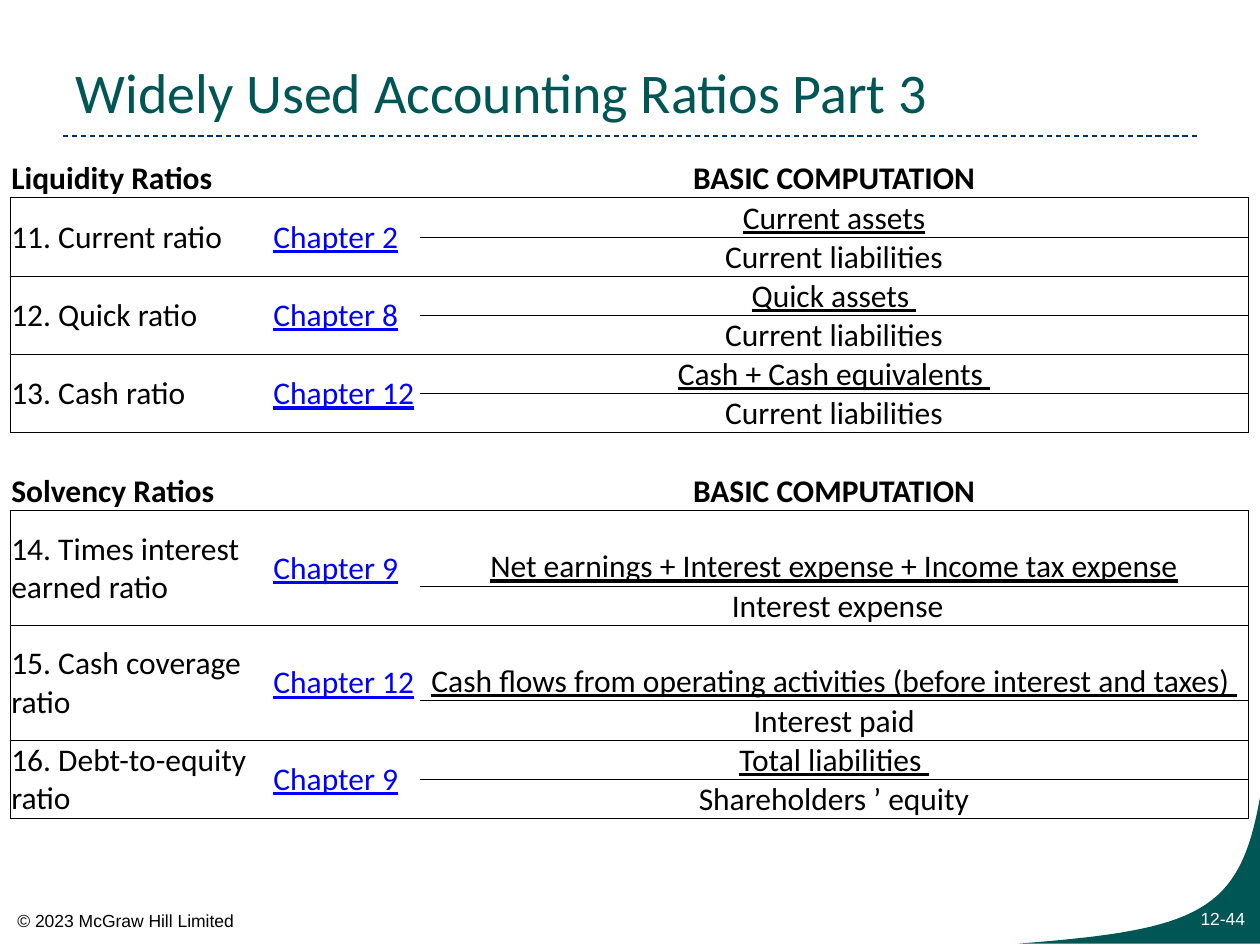
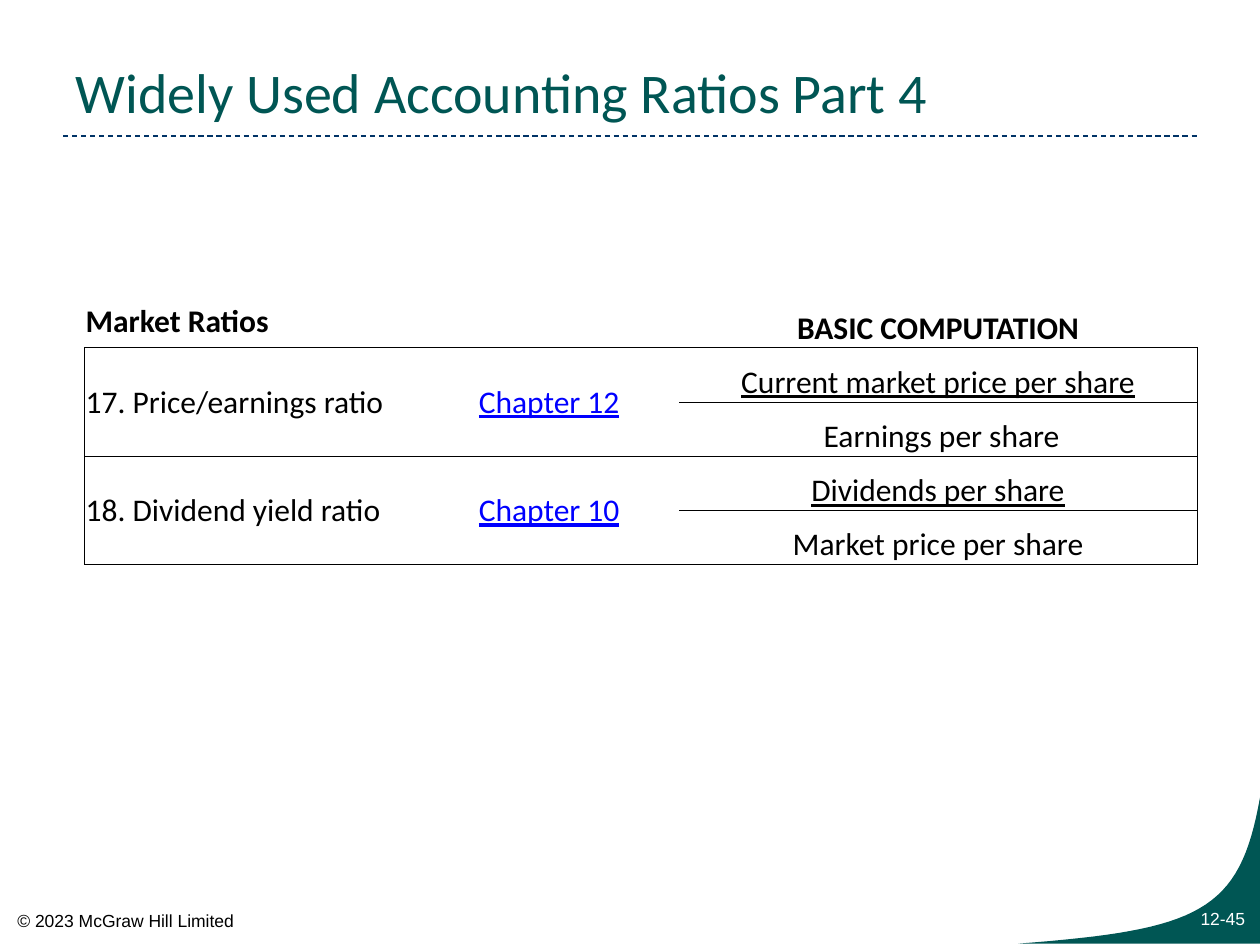
"""Build two slides of accounting ratio tables."""
from dataclasses import dataclass

from lxml import etree
from pptx import Presentation
from pptx import util as u
from pptx.dml.color import RGBColor
from pptx.enum import dml, shapes, text
from pptx.oxml.ns import qn


@dataclass(frozen=True)
class Theme:
    """Shared colours, fonts and type sizes."""
    teal: str = "005654"
    navy: str = "003366"
    link: str = "0000FF"
    black: str = "000000"
    white: str = "FFFFFF"
    font: str = "Calibri"
    footer_font: str = "Arial"
    title_size: int = 32
    table_size: int = 18
    footer_size: int = 10
    border_width: float = 0.5


@dataclass(frozen=True)
class Ratio:
    """One ratio, spanning a numerator row and a denominator row."""
    name: str
    chapter: str
    numerator: str
    denominator: str
    top_height: float | None = None


@dataclass(frozen=True)
class Group:
    """A headed group of ratios."""
    heading: str
    ratios: list[Ratio]


@dataclass(frozen=True)
class RatioSlide:
    """Content and table geometry of one slide."""
    title: str
    number: str
    left: float
    top: float
    columns: tuple[float, float, float]
    row_height: float
    groups: list[Group]


T = Theme()
MIDDLE, BOTTOM = text.MSO_ANCHOR.MIDDLE, text.MSO_ANCHOR.BOTTOM
LEFT, CENTER, RIGHT = text.PP_ALIGN.LEFT, text.PP_ALIGN.CENTER, text.PP_ALIGN.RIGHT
NO_GRID_STYLE = "{2D5ABB26-0587-4C30-8999-92F81FD0307C}"
CURVE = ((8.08, 7.49), (9.52, 7.38), (9.84, 7.24), (10, 6.33))
CURVE_STEPS = 32

SLIDES = [
    RatioSlide("Widely Used Accounting Ratios Part 3", "12-44", 0.08, 1.26, (2.08, 1.17, 6.58), 0.31, [
        Group("Liquidity Ratios", [
            Ratio("11. Current ratio", "Chapter 2", "Current assets", "Current liabilities"),
            Ratio("12. Quick ratio", "Chapter 8", "Quick assets ", "Current liabilities"),
            Ratio("13. Cash ratio", "Chapter 12", "Cash + Cash equivalents ", "Current liabilities"),
        ]),
        Group("Solvency Ratios", [
            Ratio("14. Times interest earned ratio", "Chapter 9",
                  "Net earnings + Interest expense + Income tax expense", " Interest expense", 0.6),
            Ratio("15. Cash coverage ratio", "Chapter 12",
                  "Cash flows from operating activities (before interest and taxes) ", "Interest paid", 0.6),
            Ratio("16. Debt-to-equity ratio", "Chapter 9", "Total liabilities ", "Shareholders ’ equity"),
        ]),
    ]),
    RatioSlide("Widely Used Accounting Ratios Part 4", "12-45", 0.67, 2.33, (3.12, 1.6, 4.11), 0.43, [
        Group("Market Ratios", [
            Ratio("17. Price/earnings ratio", "Chapter 12", "Current market price per share", " Earnings per share"),
            Ratio("18. Dividend yield ratio", "Chapter 10", "Dividends per share", "Market price per share"),
        ]),
    ]),
]


def set_text(tf, value: str, size: int, color: str, font: str, align=LEFT,
             bold: bool = False, underline: bool = False) -> None:
    """Write one paragraph and format it."""
    tf.text = value
    p = tf.paragraphs[0]
    p.alignment = align
    for f in [p.font, *(r.font for r in p.runs)]:
        f.name, f.size, f.bold, f.underline = font, u.Pt(size), bold, underline
        f.color.rgb = RGBColor.from_string(color)


def add_title(s, title: str) -> None:
    """Fill and place the title placeholder."""
    sp = s.shapes.title
    sp.left, sp.top, sp.width, sp.height = map(u.Inches, (0.5, 0.17, 9, 0.87))
    tf = sp.text_frame
    tf.vertical_anchor = BOTTOM
    tf.auto_size = text.MSO_AUTO_SIZE.NONE
    set_text(tf, title, T.title_size, T.teal, T.font)


def add_rule(s) -> None:
    """Draw the dashed line under the title."""
    line = s.shapes.add_connector(shapes.MSO_CONNECTOR.STRAIGHT, *map(u.Inches, (0.5, 1.08, 9.5, 1.08)))
    line.line.color.rgb = RGBColor.from_string(T.navy)
    line.line.width = u.Pt(0.75)
    line.line.dash_style = dml.MSO_LINE.DASH
    etree.SubElement(line._element.spPr, qn("a:effectLst"))


def curve_point(t: float) -> tuple[int, int]:
    """Return the point of the corner's cubic curve at t."""
    weights = ((1 - t) ** 3, 3 * t * (1 - t) ** 2, 3 * t * t * (1 - t), t ** 3)
    x, y = (sum(w * pt[axis] for w, pt in zip(weights, CURVE)) for axis in (0, 1))
    return u.Inches(x), u.Inches(y)


def add_corner(s) -> None:
    """Draw the curved corner behind the slide number."""
    builder = s.shapes.build_freeform(u.Inches(10), u.Inches(7.49))
    builder.add_line_segments([curve_point(i / CURVE_STEPS) for i in range(CURVE_STEPS + 1)])
    sp = builder.convert_to_shape()
    sp.shadow.inherit = False
    sp.fill.solid()
    sp.fill.fore_color.rgb = RGBColor.from_string(T.teal)
    sp.line.fill.background()


def add_footer_text(s, value: str, box: tuple[float, ...], color: str, align, wrap: bool) -> None:
    """Add one small footer text."""
    tf = s.shapes.add_textbox(*map(u.Inches, box)).text_frame
    tf.word_wrap = wrap
    set_text(tf, value, T.footer_size, color, T.footer_font, align)


def set_cell(cell, value: str = "", anchor=MIDDLE, align=LEFT, borders: str = "", color: str = T.black,
             bold: bool = False, underline: bool = False) -> None:
    """Format a cell and draw the named borders from L, R, T and B."""
    cell.margin_left = cell.margin_top = cell.margin_right = u.Inches(0.01)
    cell.margin_bottom = 0
    cell.vertical_anchor = anchor
    set_text(cell.text_frame, value, T.table_size, color, T.font, align, bold, underline)
    tc_pr = cell._tc.get_or_add_tcPr()
    for side in borders:
        ln = etree.SubElement(tc_pr, qn(f"a:ln{side}"), w=str(u.Pt(T.border_width)))
        fill = etree.SubElement(ln, qn("a:solidFill"))
        etree.SubElement(fill, qn("a:srgbClr"), val=T.black)
    cell.fill.background()


def fill_heading(table, row: int, heading: str) -> None:
    """Fill a group's heading row."""
    set_cell(table.cell(row, 0), heading, bold=True)
    set_cell(table.cell(row, 1))
    set_cell(table.cell(row, 2), "BASIC COMPUTATION", BOTTOM, CENTER, bold=True)


def fill_ratio(table, row: int, ratio: Ratio) -> None:
    """Fill the two rows of a ratio."""
    if ratio.top_height:
        table.rows[row].height = u.Inches(ratio.top_height)
    set_cell(table.cell(row, 0), ratio.name, borders="LTB")
    set_cell(table.cell(row, 1), ratio.chapter, borders="TB", color=T.link, underline=True)
    set_cell(table.cell(row, 2), ratio.numerator, BOTTOM, CENTER, "RT", underline=True)
    set_cell(table.cell(row + 1, 0), borders="LB")
    set_cell(table.cell(row + 1, 1), borders="B")
    set_cell(table.cell(row + 1, 2), ratio.denominator, BOTTOM, CENTER, "RB")
    for col in (0, 1):
        table.cell(row, col).merge(table.cell(row + 1, col))


def add_ratio_table(s, spec_: RatioSlide) -> None:
    """Add the table of all groups, one blank row apart."""
    count = sum(2 + 2 * len(g.ratios) for g in spec_.groups) - 1
    box = (spec_.left, spec_.top, sum(spec_.columns), count * spec_.row_height)
    table = s.shapes.add_table(count, 3, *map(u.Inches, box)).table
    table.first_row = table.horz_banding = False
    table._tbl.tblPr.find(qn("a:tableStyleId")).text = NO_GRID_STYLE
    for column, width in zip(table.columns, spec_.columns):
        column.width = u.Inches(width)
    for table_row in table.rows:
        table_row.height = u.Inches(spec_.row_height)
    row = 0
    for group in spec_.groups:
        if row:
            for col in range(3):
                set_cell(table.cell(row, col))
            row += 1
        fill_heading(table, row, group.heading)
        row += 1
        for ratio in group.ratios:
            fill_ratio(table, row, ratio)
            row += 2


def main() -> None:
    """Build and save the presentation."""
    prs = Presentation()
    prs.slide_width, prs.slide_height = u.Inches(10), u.Inches(7.5)
    for content in SLIDES:
        s = prs.slides.add_slide(prs.slide_layouts[5])
        add_rule(s)
        add_corner(s)
        add_footer_text(s, content.number, (9, 7.16, 0.98, 0.27), T.white, RIGHT, True)
        add_footer_text(s, "© 2023 McGraw Hill Limited", (0.04, 7.17, 1.94, 0.27), T.black, LEFT, False)
        add_title(s, content.title)
        add_ratio_table(s, content)
    prs.save("out.pptx")


if __name__ == "__main__":
    main()
